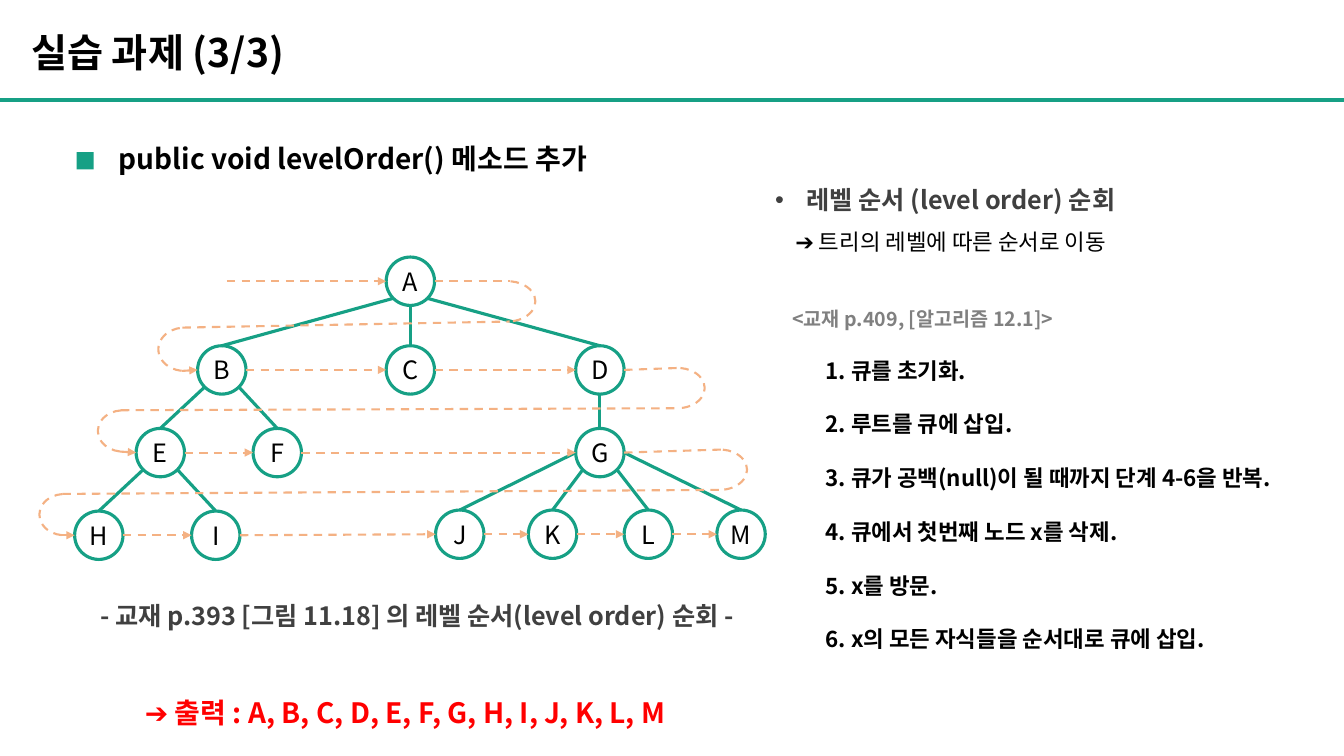
from dataclasses import dataclass
from itertools import pairwise

from lxml.etree import SubElement
from pptx import Presentation
from pptx.dml.color import RGBColor
from pptx.enum.dml import MSO_LINE
from pptx.enum.shapes import MSO_CONNECTOR, MSO_SHAPE
from pptx.enum.text import MSO_ANCHOR, MSO_AUTO_SIZE, PP_ALIGN
from pptx.oxml.ns import qn
from pptx.util import Inches, Pt


@dataclass(frozen=True)
class Theme:
    """Colours, type sizes and line widths of the slide."""
    font: str = "Noto Sans CJK KR"
    green: str = "16A085"
    orange: str = "F4B183"
    black: str = "000000"
    dark: str = "404040"
    grey: str = "808080"
    red: str = "FF0000"
    title: int = 28
    heading: int = 20
    body: int = 18
    step: int = 16
    note: int = 14
    rule: float = 3
    branch: float = 2.25
    route: float = 1.5


THEME = Theme()
NODE = 0.48
HALF = NODE / 2
DIAGONAL = 0.17
SITES = {
    "top": (0, -HALF), "bottom": (0, HALF), "left": (-HALF, 0), "right": (HALF, 0),
    "lower left": (-DIAGONAL, DIAGONAL), "lower right": (DIAGONAL, DIAGONAL),
}
LEVELS = [
    {"A": (3.83, 2.55)},
    {"B": (1.96, 3.43), "C": (3.83, 3.43), "D": (5.71, 3.43)},
    {"E": (1.35, 4.25), "F": (2.51, 4.25), "G": (5.71, 4.25)},
    {"H": (0.74, 5.07), "I": (1.9, 5.07), "J": (4.32, 5.06),
     "K": (5.24, 5.06), "L": (6.19, 5.06), "M": (7.11, 5.06)},
]
NODES = {name: spot for level in LEVELS for name, spot in level.items()}
BRANCHES = [
    ("A", "lower left", "B"), ("A", "bottom", "C"), ("A", "lower right", "D"),
    ("B", "lower left", "E"), ("B", "lower right", "F"), ("D", "bottom", "G"),
    ("E", "lower left", "H"), ("E", "lower right", "I"), ("G", "left", "J"),
    ("G", "lower left", "K"), ("G", "lower right", "L"), ("G", "right", "M"),
]
TURNS = [
    ((4.76, 2.79, 0.55, 0.4), (1.57, 3.25, 0.52, 0.43)),
    ((6.45, 3.65, 0.54, 0.4), (0.97, 4.07, 0.5, 0.41)),
    ((6.87, 4.46, 0.54, 0.4), (0.39, 4.9, 0.5, 0.41)),
]
STEPS = [
    "1. 큐를 초기화.",
    "2. 루트를 큐에 삽입.",
    "3. 큐가 공백(null)이 될 때까지 단계 4-6을 반복.",
    "4. 큐에서 첫번째 노드 x를 삭제.",
    "5. x를 방문.",
    "6. x의 모든 자식들을 순서대로 큐에 삽입.",
]


def apply_format(target, values):
    """Set each attribute of target from a dict."""
    for name, value in values.items():
        setattr(target, name, value)


def write(para, text, size, color, bold=True, **layout):
    """Put one styled span of text in a paragraph."""
    span = para.add_run()
    span.text = text
    apply_format(span.font, {"name": THEME.font, "size": Pt(size), "bold": bold})
    SubElement(span.font._element, qn("a:ea"), typeface=THEME.font)
    span.font.color.rgb = RGBColor.from_string(color)
    apply_format(para, layout)


def indent(para, margin, first=0, bullet=None):
    """Set the left margin, first-line indent and bullet of a paragraph."""
    properties = para._p.get_or_add_pPr()
    properties.set("marL", str(Inches(margin)))
    properties.set("indent", str(Inches(first)))
    if bullet:
        SubElement(properties, qn("a:buFont"), typeface="Arial")
        SubElement(properties, qn("a:buChar"), char=bullet)


def add_text(page, place, wrap=True):
    """Add a growing text box and return its frame."""
    box = page.shapes.add_textbox(*map(Inches, place))
    apply_format(box.text_frame, {"word_wrap": wrap, "auto_size": MSO_AUTO_SIZE.SHAPE_TO_FIT_TEXT})
    return box.text_frame


def add_line(page, start, end, color, width, dashed=False, arrow=False):
    """Draw a straight line, optionally dashed or with an arrowhead."""
    line = page.shapes.add_connector(MSO_CONNECTOR.STRAIGHT, *map(Inches, (*start, *end)))
    line.line.color.rgb = RGBColor.from_string(color)
    line.line.width = Pt(width)
    if dashed:
        line.line.dash_style = MSO_LINE.DASH
    if arrow:
        SubElement(line.line._get_or_add_ln(), qn("a:tailEnd"), type="triangle")
    SubElement(line._element.spPr, qn("a:effectLst"))


def add_route(page, start, end, arrow=True):
    """Draw one dashed leg of the traversal."""
    add_line(page, start, end, THEME.orange, THEME.route, dashed=True, arrow=arrow)


def add_outline(page, kind, place, color, width):
    """Add an unfilled preset shape."""
    shape = page.shapes.add_shape(kind, *map(Inches, place))
    shape.shadow.inherit = False
    shape.fill.background()
    shape.line.color.rgb = RGBColor.from_string(color)
    shape.line.width = Pt(width)
    return shape


def site(name, side):
    """Return the point on the given side of a node."""
    return tuple(corner + HALF + shift for corner, shift in zip(NODES[name], SITES[side]))


def add_node(page, name):
    """Draw a labelled tree node."""
    place = (*NODES[name], NODE, NODE)
    frame = add_outline(page, MSO_SHAPE.OVAL, place, THEME.green, THEME.branch).text_frame
    margins = {f"margin_{side}": 0 for side in ("left", "right", "top", "bottom")}
    apply_format(frame, {"word_wrap": False, "vertical_anchor": MSO_ANCHOR.MIDDLE, **margins})
    write(frame.paragraphs[0], name, THEME.body, THEME.black, False, alignment=PP_ALIGN.CENTER)


def add_arc(page, place, rotation):
    """Draw a dashed half-turn of the traversal."""
    arc = add_outline(page, MSO_SHAPE.ARC, place, THEME.orange, THEME.route)
    arc.adjustments[0], arc.adjustments[1] = 167.05, 50.57
    arc.rotation = rotation
    arc.line.dash_style = MSO_LINE.DASH


def add_turn(page, last, first, right, left):
    """Lead the traversal from the last node of a level to the first of the next."""
    right_middle, left_middle = right[0] + right[2] / 2, left[0] + left[2] / 2
    add_arc(page, right, 0)
    add_arc(page, left, 180)
    add_route(page, site(last, "right"), (right_middle + 0.02, right[1]), arrow=False)
    add_route(page, (left_middle - 0.02, left[1]),
              (right_middle + 0.02, right[1] + right[3]), arrow=False)
    add_route(page, (left_middle - 0.03, left[1] + left[3]), site(first, "left"))


def add_tree(page):
    """Draw the tree and its level-order route."""
    for name in NODES:
        add_node(page, name)
    for parent, side, child in BRANCHES:
        add_line(page, site(child, "top"), site(parent, side), THEME.green, THEME.branch)
    add_route(page, (2.25, 2.79), site("A", "left"))
    for level in LEVELS:
        for before, after in pairwise(level):
            add_route(page, site(before, "right"), site(after, "left"))
    for (upper, lower), (right, left) in zip(pairwise(LEVELS), TURNS):
        add_turn(page, list(upper)[-1], list(lower)[0], right, left)


def add_explanation(page):
    """Write the traversal rule and the steps of the algorithm."""
    frame = add_text(page, (7.59, 1.48, 5.47, 5.25))
    topic = frame.paragraphs[0]
    write(topic, "레벨 순서 (level order) 순회", THEME.body, THEME.dark, line_spacing=2.0)
    indent(topic, 0.31, -0.31, "•")
    meaning = frame.add_paragraph()
    write(meaning, "➔ 트리의 레벨에 따른 순서로 이동", THEME.step, THEME.black, False, line_spacing=1.5)
    indent(meaning, 0.2)
    source = frame.add_paragraph()
    write(source, "<교재 p.409, [알고리즘 12.1]>", THEME.note, THEME.grey,
          line_spacing=2.0, space_before=Pt(20))
    indent(source, 0.17)
    for step in STEPS:
        para = frame.add_paragraph()
        write(para, step, THEME.step, THEME.black, line_spacing=2.0, level=1)
        indent(para, 0.5)


def main():
    """Build the slide and save the deck."""
    deck = Presentation()
    apply_format(deck, {"slide_width": Inches(13.33), "slide_height": Inches(7.5)})
    page = deck.slides.add_slide(deck.slide_layouts[6])
    add_line(page, (0, 0.99), (13.33, 0.99), THEME.green, THEME.rule)
    marker = add_outline(page, MSO_SHAPE.RECTANGLE, (0.76, 1.51, 0.17, 0.17), THEME.green, 0)
    marker.fill.solid()
    marker.fill.fore_color.rgb = RGBColor.from_string(THEME.green)
    marker.line.fill.background()
    title = add_text(page, (0.21, 0.23, 10.15, 0.57))
    write(title.paragraphs[0], "실습 과제 (3/3)", THEME.title, THEME.black)
    heading = add_text(page, (1.08, 1.35, 5.06, 0.44), wrap=False)
    write(heading.paragraphs[0], "public void levelOrder() 메소드 추가", THEME.heading, THEME.black)
    add_tree(page)
    add_explanation(page)
    caption = add_text(page, (0.26, 5.91, 7.75, 0.4))
    write(caption.paragraphs[0], "- 교재 p.393 [그림 11.18] 의 레벨 순서(level order) 순회 -",
          THEME.body, THEME.dark, alignment=PP_ALIGN.CENTER)
    output = add_text(page, (1.08, 6.85, 5.88, 0.44))
    write(output.paragraphs[0], f"➔ 출력 : {', '.join(NODES)}",
          THEME.heading, THEME.red, alignment=PP_ALIGN.CENTER)
    deck.save("out.pptx")


if __name__ == "__main__":
    main()
